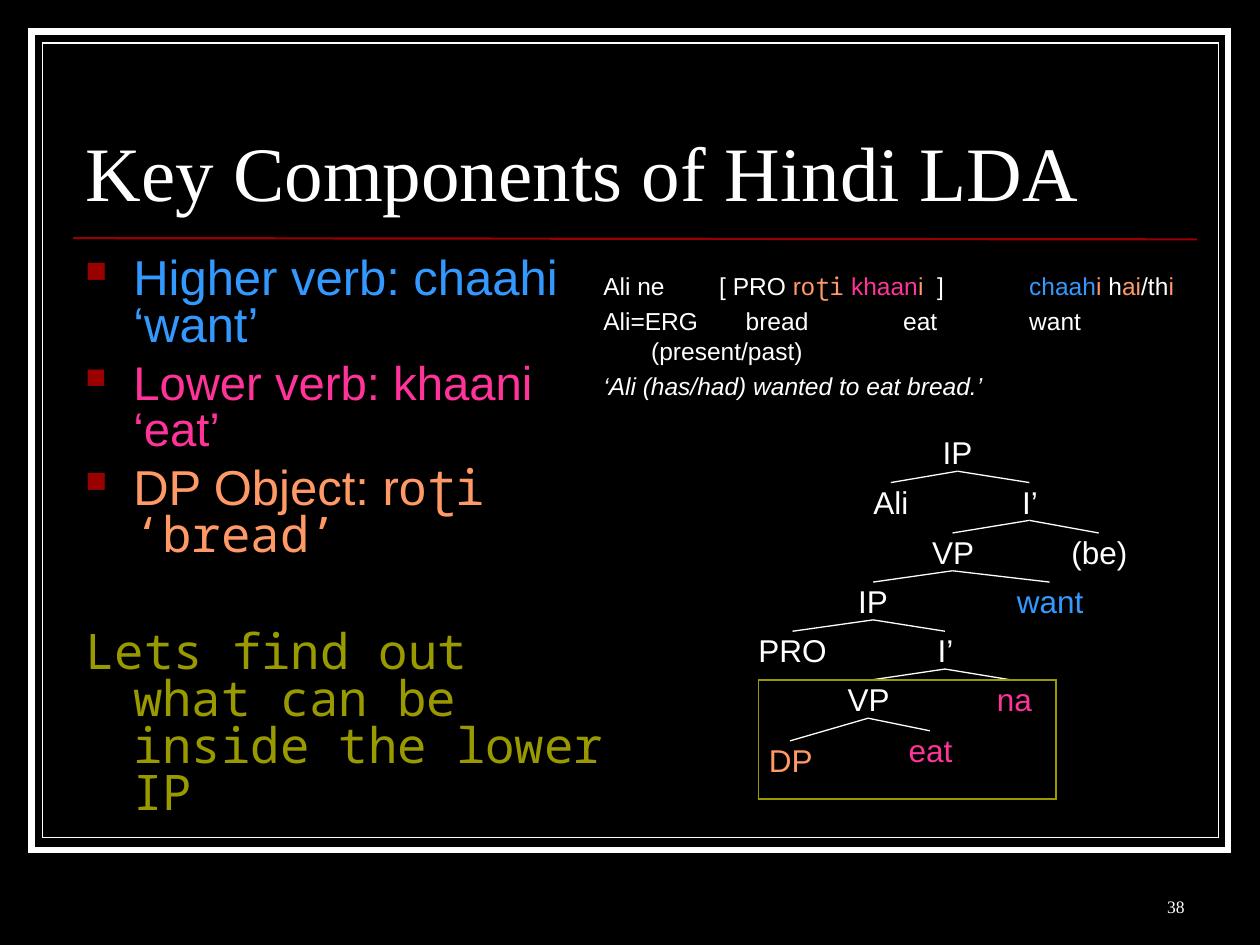
from dataclasses import dataclass
from typing import NamedTuple

from lxml.etree import SubElement
from pptx import Presentation
from pptx.dml.color import RGBColor
from pptx.enum.shapes import MSO_CONNECTOR, MSO_SHAPE
from pptx.enum.text import MSO_ANCHOR, MSO_AUTO_SIZE, PP_ALIGN
from pptx.oxml.ns import qn
from pptx.util import Emu, Pt

EMU_PER_PX = 9144
HANGING = 38
LEVEL_TOP, LEVEL_STEP, LABEL_HEIGHT = 344, 39.3, 30


@dataclass(frozen=True)
class Theme:
    black: str = "000000"
    white: str = "FFFFFF"
    red: str = "990000"
    blue: str = "3399FF"
    pink: str = "FF3399"
    orange: str = "FF9966"
    olive: str = "999900"
    serif: str = "Times New Roman"
    sans: str = "Arial"
    mono: str = "Noto Sans Mono"
    title: float = 44
    body: float = 28
    body_small: float = 27
    label: float = 18
    gloss: float = 14
    number: float = 10


THEME = Theme()


class Box(NamedTuple):
    left: int
    top: int
    width: int
    height: int


class Piece(NamedTuple):
    text: str
    color: str | None = None
    font: str | None = None
    new_line: bool = False


@dataclass(frozen=True)
class TextLine:
    pieces: list[Piece]
    size: float
    color: str
    font: str = THEME.sans
    before: float = 0
    spacing: float | None = None
    hanging: int = 0
    bullet: bool = False
    italic: bool | None = None
    tabs: tuple[int, ...] = ()
    align: PP_ALIGN = PP_ALIGN.LEFT


@dataclass(frozen=True)
class Node:
    text: str
    left: int
    width: int
    level: int
    parent: int | None = None
    color: str = THEME.white
    drop: int = 0

    @property
    def center(self) -> int:
        return self.left + self.width // 2

    @property
    def top(self) -> int:
        return round(LEVEL_TOP + LEVEL_STEP * self.level) + self.drop


def px(length: int) -> Emu:
    return Emu(length * EMU_PER_PX)


def rgb(color: str) -> RGBColor:
    return RGBColor.from_string(color)


def place(shape, box: Box) -> None:
    shape.left, shape.top, shape.width, shape.height = map(px, box)


def write_line(paragraph, line: TextLine) -> None:
    properties = paragraph._p.get_or_add_pPr()
    if line.hanging:
        properties.set("marL", str(px(line.hanging)))
        properties.set("indent", str(-px(line.hanging)))
    if line.bullet:
        bullet_color = SubElement(properties, qn("a:buClr"))
        SubElement(bullet_color, qn("a:srgbClr"), val=THEME.red)
        SubElement(properties, qn("a:buSzPct"), val="60000")
        SubElement(properties, qn("a:buChar"), char="■")
    else:
        SubElement(properties, qn("a:buNone"))
    if line.tabs:
        tab_list = SubElement(properties, qn("a:tabLst"))
        for position in line.tabs:
            SubElement(tab_list, qn("a:tab"), pos=str(px(position)), algn="l")
    paragraph.alignment = line.align
    paragraph.space_before = Pt(line.before)
    if line.spacing:
        paragraph.line_spacing = line.spacing
    paragraph.font.size = Pt(line.size)
    paragraph.font.name = line.font
    paragraph.font.color.rgb = rgb(line.color)
    paragraph.font.italic = line.italic
    for piece in line.pieces:
        if piece.new_line:
            paragraph.add_line_break()
        run = paragraph.add_run()
        run.text = piece.text
        if piece.color:
            run.font.color.rgb = rgb(piece.color)
        if piece.font:
            run.font.name = piece.font


def write_text(shape, lines: list[TextLine], anchor=MSO_ANCHOR.TOP) -> None:
    frame = shape.text_frame
    frame.word_wrap = True
    frame.auto_size = MSO_AUTO_SIZE.NONE
    frame.vertical_anchor = anchor
    for index, line in enumerate(lines):
        write_line(frame.add_paragraph() if index else frame.paragraphs[0], line)


def add_text(slide, box: Box, lines: list[TextLine], anchor=MSO_ANCHOR.TOP):
    shape = slide.shapes.add_textbox(*map(px, box))
    write_text(shape, lines, anchor)
    return shape


def add_frame(slide, box: Box, color: str, weight: float) -> None:
    shape = slide.shapes.add_shape(MSO_SHAPE.RECTANGLE, *map(px, box))
    shape.shadow.inherit = False
    shape.fill.background()
    shape.line.color.rgb = rgb(color)
    shape.line.width = Pt(weight)
    SubElement(shape._element.spPr.find(qn("a:ln")), qn("a:miter"), lim="800000")


def add_line(slide, start: tuple[int, int], end: tuple[int, int], color: str, weight: float) -> None:
    line = slide.shapes.add_connector(MSO_CONNECTOR.STRAIGHT, *map(px, start + end))
    line.line.color.rgb = rgb(color)
    line.line.width = Pt(weight)
    SubElement(line._element.spPr, qn("a:effectLst"))


def add_tree(slide, nodes: list[Node]) -> None:
    for node in nodes:
        label = add_text(slide, Box(node.left, node.top, node.width, LABEL_HEIGHT),
                         [TextLine([Piece(node.text)], THEME.label, node.color, align=PP_ALIGN.CENTER)],
                         MSO_ANCHOR.MIDDLE)
        frame = label.text_frame
        frame.word_wrap = False
        frame.margin_left = frame.margin_right = frame.margin_top = frame.margin_bottom = 0
        if node.parent is not None:
            parent = nodes[node.parent]
            add_line(slide, (parent.center, parent.top + LABEL_HEIGHT), (node.center, node.top),
                     THEME.white, 0.75)


def body_line(pieces: list[Piece], color: str, **options) -> TextLine:
    return TextLine(pieces, **{"size": THEME.body, "color": color, "spacing": 0.8,
                               "hanging": HANGING, "before": 7, **options})


def gloss_line(pieces: list[Piece], **options) -> TextLine:
    return TextLine(pieces, THEME.gloss, THEME.white, **options)


BODY = [
    body_line([Piece("Higher verb: chaahi ‘want’")], THEME.blue, bullet=True, before=0),
    body_line([Piece("Lower verb: khaani ‘eat’")], THEME.pink, bullet=True, size=THEME.body_small),
    body_line([Piece("DP Object: ro"), Piece("ʈi ‘bread’", font=THEME.mono)], THEME.orange, bullet=True),
    body_line([Piece("Lets find out what can be inside the lower IP")], THEME.olive,
              font=THEME.mono, before=40),
]
GLOSS = [
    gloss_line([Piece("Ali ne\t[ PRO "), Piece("ro", THEME.orange), Piece("ʈi", THEME.orange, THEME.mono),
                Piece(" khaan", THEME.pink), Piece("i", THEME.orange), Piece("\t]\t"),
                Piece("chaah", THEME.blue), Piece("i ", THEME.orange), Piece("h"),
                Piece("ai", THEME.orange), Piece("/th"), Piece("i", THEME.orange)], tabs=(92, 265, 338)),
    gloss_line([Piece("Ali=ERG\tbread\teat\twant"), Piece("\t(present/past)", new_line=True)],
               before=3.5, tabs=(HANGING, 113, 238, 338)),
    gloss_line([Piece("‘Ali (has/had) wanted to eat bread.’")], before=3.5, italic=True),
]
TREE = [
    Node("IP", 748, 24, 0),
    Node("Ali", 693, 28, 1, 0),
    Node("I’", 811, 13, 1, 0),
    Node("VP", 740, 33, 2, 2),
    Node("(be)", 850, 45, 2, 2),
    Node("IP", 681, 24, 3, 3),
    Node("want", 807, 53, 3, 3, THEME.blue),
    Node("PRO", 602, 54, 4, 5),
    Node("I’", 744, 13, 4, 5),
    Node("VP", 673, 33, 5, 8),
    Node("na", 791, 28, 5, 8, THEME.pink),
    Node("DP", 610, 35, 6, 9, THEME.orange, drop=8),
    Node("eat", 721, 35, 6, 9, THEME.pink),
]


def main() -> None:
    presentation = Presentation()
    presentation.slide_width, presentation.slide_height = px(1000), px(750)
    slide = presentation.slides.add_slide(presentation.slide_layouts[5])
    slide.background.fill.solid()
    slide.background.fill.fore_color.rgb = rgb(THEME.black)
    add_frame(slide, Box(25, 25, 950, 650), THEME.white, 3.5)
    add_frame(slide, Box(34, 34, 933, 631), THEME.white, 0.75)
    add_line(slide, (58, 189), (950, 190), THEME.red, 1.25)
    title = slide.shapes.title
    place(title, Box(58, 52, 892, 125))
    write_text(title, [TextLine([Piece("Key Components of Hindi LDA")], THEME.title, THEME.white,
                                THEME.serif, spacing=0.8)], MSO_ANCHOR.BOTTOM)
    add_text(slide, Box(58, 200, 437, 442), BODY)
    add_tree(slide, TREE)
    add_text(slide, Box(469, 210, 493, 442), GLOSS)
    add_frame(slide, Box(602, 540, 236, 94), THEME.olive, 1)
    add_text(slide, Box(742, 683, 208, 50),
             [TextLine([Piece("38")], THEME.number, THEME.white, THEME.serif, align=PP_ALIGN.RIGHT)],
             MSO_ANCHOR.BOTTOM)
    presentation.save("out.pptx")


if __name__ == "__main__":
    main()
